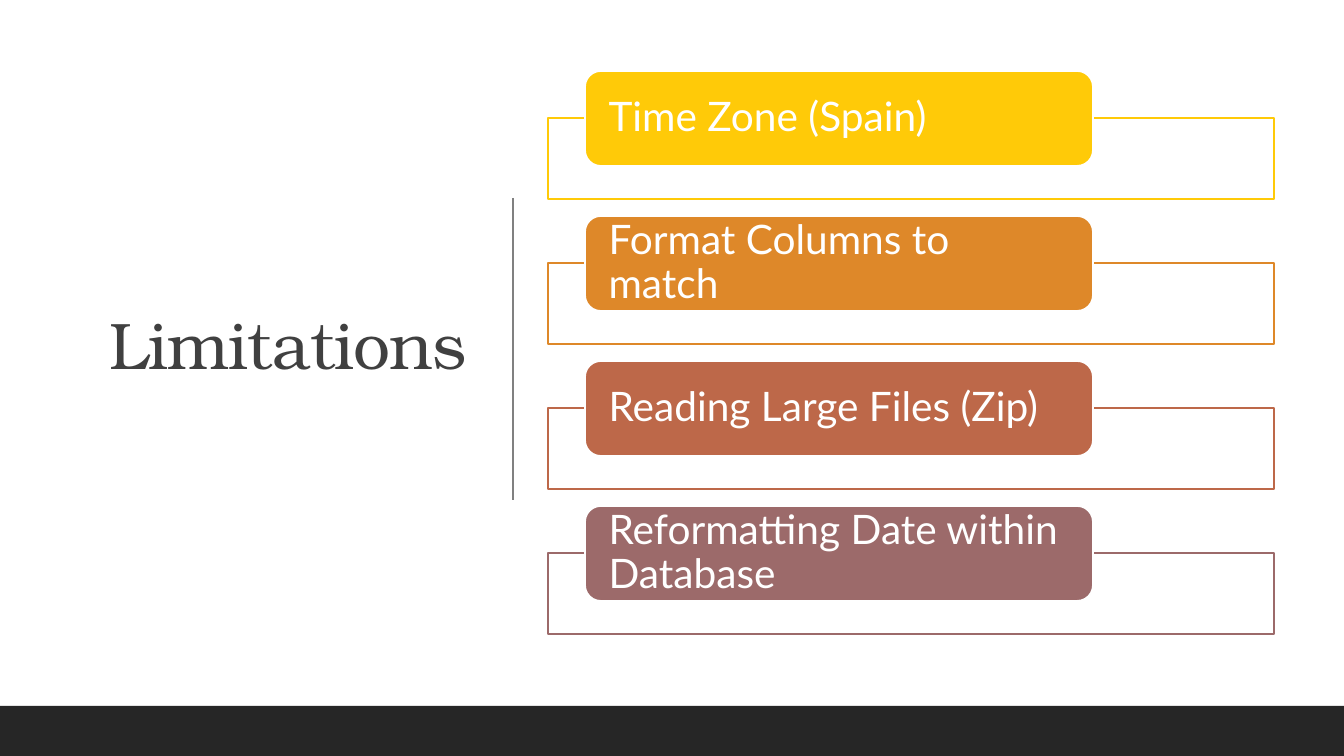
from lxml.etree import SubElement
from pptx import Presentation
from pptx.dml.color import RGBColor
from pptx.enum.shapes import MSO_CONNECTOR as Link, MSO_SHAPE as Kind
from pptx.enum.text import MSO_ANCHOR as Anchor, PP_ALIGN as Align
from pptx.oxml.ns import qn
from pptx.util import Pt

TITLE = "Limitations"
LIMITS = [
    ("Time Zone (Spain)", "FFCA08"),
    ("Format Columns to match", "DE8829"),
    ("Reading Large Files (Zip)", "BD6849"),
    ("Reformatting Date within Database", "9C6A6A"),
]
WHITE, DARK, GREY, INK = "FFFFFF", "262626", "808080", "404040"

# Layout in px
WIDTH, HEIGHT, FOOT = 1344, 756, 50
PITCH = 145
FRAME = (548, 118, 726, 81)
PILL = (585, 71, 508, 95)


def px(n):
    return n * 914400 * 10 // 1008


def color(code):
    return RGBColor.from_string(code)


def block(kind, box, fill, line=None, alpha=None):
    shape = slide.shapes.add_shape(kind, *map(px, box))
    shape.shadow.inherit = False
    shape.fill.solid()
    shape.fill.fore_color.rgb = color(fill)
    if alpha:
        tone = shape._element.spPr.find(qn("a:solidFill"))[0]
        SubElement(tone, qn("a:alpha"), val=str(alpha * 1000))
    if line:
        shape.line.color.rgb = color(line)
        shape.line.width = Pt(1.25)
    else:
        shape.line.fill.background()
    return shape


def write(shape, text, *, size, font, ink, align=Align.LEFT, side=10, edge=5, track=0):
    frame = shape.text_frame
    frame.word_wrap = True
    frame.vertical_anchor = Anchor.MIDDLE
    frame.margin_left = frame.margin_right = px(side)
    frame.margin_top = frame.margin_bottom = px(edge)
    para = frame.paragraphs[0]
    para.alignment = align
    para.line_spacing = 0.9
    run = para.add_run()
    run.text = text
    run.font.size = Pt(size)
    run.font.name = font
    run.font.color.rgb = color(ink)
    if track:
        run.font._element.set("spc", str(track))


deck = Presentation()
deck.slide_width, deck.slide_height = px(WIDTH), px(HEIGHT)
slide = deck.slides.add_slide(deck.slide_layouts[6])

# Backdrop and footer band
block(Kind.RECTANGLE, (0, 0, WIDTH, HEIGHT), WHITE)
block(Kind.RECTANGLE, (0, HEIGHT - FOOT, WIDTH, FOOT), DARK)

# Title and divider
head = slide.shapes.add_textbox(*map(px, (71, 70, 406, 557)))
write(head, TITLE, size=47, font="TeX Gyre Bonum", ink=INK, align=Align.RIGHT, track=-50)
rule = slide.shapes.add_connector(Link.STRAIGHT, *map(px, (513, 198, 513, 500)))
rule.line.color.rgb = color(GREY)
rule.line.width = Pt(1)
SubElement(rule._element.spPr, qn("a:effectLst"))

# Limitation list
for i, (text, tint) in enumerate(LIMITS):
    (fx, fy, fw, fh), (x, y, w, h) = FRAME, PILL
    drop = i * PITCH
    block(Kind.RECTANGLE, (fx, fy + drop, fw, fh), WHITE, tint, alpha=90)
    pill = block(Kind.ROUNDED_RECTANGLE, (x, y + drop, w, h), tint, WHITE)
    write(pill, text, size=29, font="Lato", ink=WHITE, side=19, edge=0)

deck.save("out.pptx")
